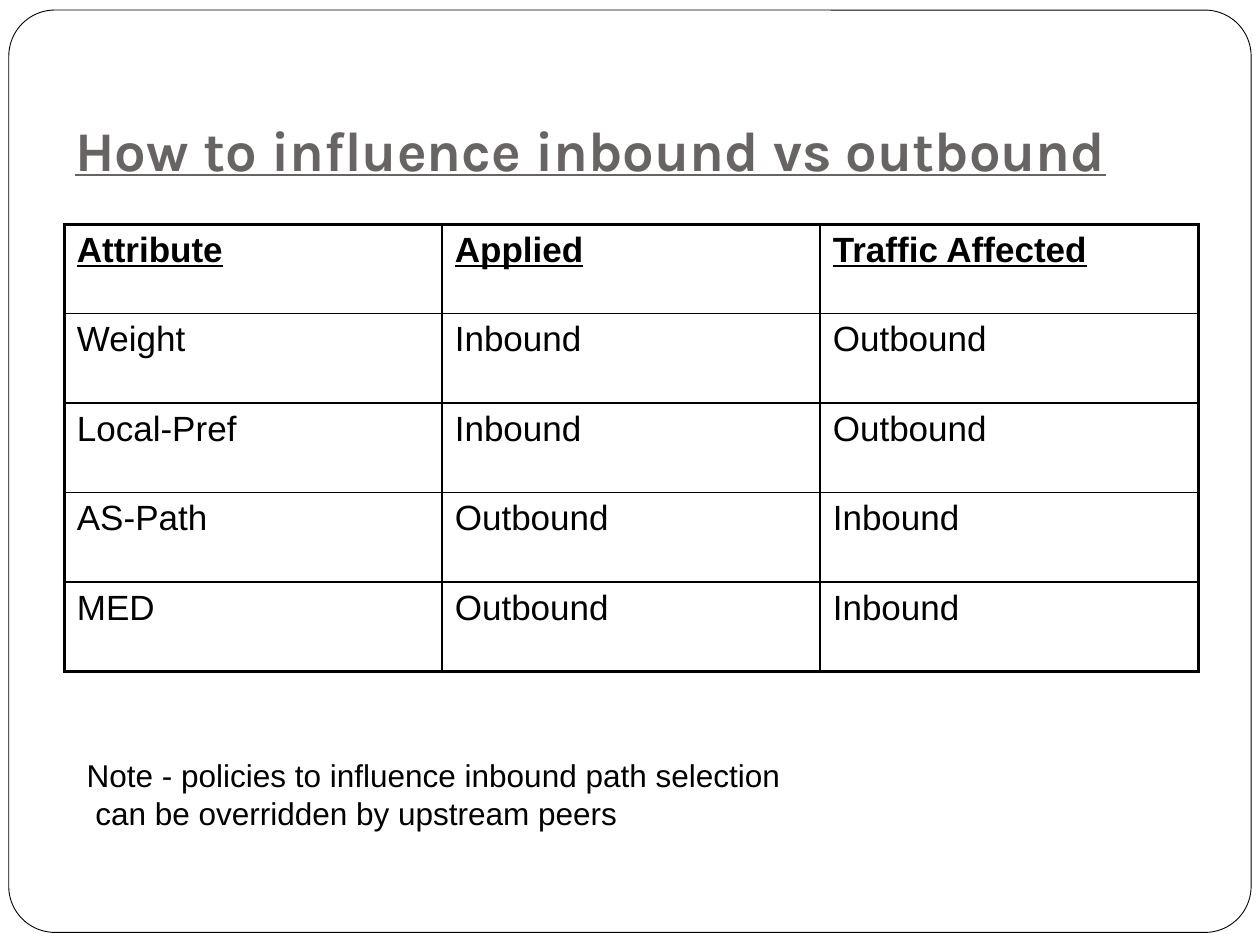
from lxml.etree import SubElement
from pptx import Presentation
from pptx.dml.color import RGBColor
from pptx.enum.shapes import MSO_SHAPE
from pptx.enum.text import MSO_ANCHOR, MSO_AUTO_SIZE
from pptx.oxml.ns import qn
from pptx.util import Inches, Pt

BLACK = RGBColor(0x00, 0x00, 0x00)
WHITE = RGBColor(0xFF, 0xFF, 0xFF)
GREY = RGBColor(0x69, 0x64, 0x64)

TITLE_FONT = {"name": "Karla", "size": Pt(32), "bold": True, "underline": True}
HEADER_FONT = {"name": "Arial", "size": Pt(20), "bold": True, "underline": True}
BODY_FONT = {"name": "Arial", "size": Pt(20), "bold": False, "underline": False}
NOTE_FONT = {"name": "Arial", "size": Pt(18)}

OUTER_BORDER = Pt(2.25)
INNER_BORDER = Pt(1)

ATTRIBUTE_ROWS = [
    ("Attribute", "Applied", "Traffic Affected"),
    ("Weight", "Inbound", "Outbound"),
    ("Local-Pref", "Inbound", "Outbound"),
    ("AS-Path", "Outbound", "Inbound"),
    ("MED", "Outbound", "Inbound"),
]
NOTE_LINES = [
    "Note - policies to influence inbound path selection",
    " can be overridden by upstream peers",
]


class SlideBuilder:
    def __init__(self, slide):
        self.slide = slide

    def add_span(self, para, text, font, color=BLACK):
        span = para.add_run()
        span.text = text
        for name, value in font.items():
            setattr(span.font, name, value)
        span.font.color.rgb = color

    def frame(self, left, top, width, height):
        """Draw the rounded outline around the page."""
        shape = self.slide.shapes.add_shape(
            MSO_SHAPE.ROUNDED_RECTANGLE, left, top, width, height)
        shape.adjustments[0] = 0.05
        shape.shadow.inherit = False
        shape.fill.solid()
        shape.fill.fore_color.rgb = WHITE
        shape.line.color.rgb = BLACK
        shape.line.width = Pt(0.5)

    def text(self, left, top, width, height, lines, font, color=BLACK, **layout):
        box = self.slide.shapes.add_textbox(left, top, width, height)
        for name, value in layout.items():
            setattr(box.text_frame, name, value)
        for index, line in enumerate(lines):
            para = (box.text_frame.add_paragraph() if index
                    else box.text_frame.paragraphs[0])
            self.add_span(para, line, font, color)

    def border(self, cell, side, width):
        properties = cell._tc.get_or_add_tcPr()
        line = SubElement(properties, qn(f"a:ln{side}"), w=str(width))
        fill = SubElement(line, qn("a:solidFill"))
        SubElement(fill, qn("a:srgbClr"), val=str(BLACK))

    def table(self, left, top, width, height, rows):
        """Draw a table with a thick outer border and a header row."""
        last_row, last_column = len(rows) - 1, len(rows[0]) - 1
        table = self.slide.shapes.add_table(
            len(rows), len(rows[0]), left, top, width, height).table
        table.first_row = table.horz_banding = False
        for r, row in enumerate(rows):
            for c, text in enumerate(row):
                cell = table.cell(r, c)
                self.add_span(cell.text_frame.paragraphs[0], text,
                              BODY_FONT if r else HEADER_FONT)
                is_outer = {"L": c == 0, "R": c == last_column,
                            "T": r == 0, "B": r == last_row}
                for side, outer in is_outer.items():
                    self.border(cell, side, OUTER_BORDER if outer else INNER_BORDER)
                cell.fill.background()


def main():
    deck = Presentation()
    deck.slide_width, deck.slide_height = Inches(10), Inches(7.5)
    page = SlideBuilder(deck.slides.add_slide(deck.slide_layouts[6]))

    page.frame(Inches(0.07), Inches(0.08), Inches(9.86), Inches(7.32))
    page.text(Inches(0.5), Inches(0.3), Inches(9), Inches(1.25),
              ["How to influence inbound vs outbound"], TITLE_FONT, GREY,
              word_wrap=True, vertical_anchor=MSO_ANCHOR.BOTTOM,
              margin_bottom=Inches(0.1))
    page.table(Inches(0.51), Inches(1.78), Inches(9), Inches(3.55), ATTRIBUTE_ROWS)
    page.text(Inches(0.59), Inches(5.95), Inches(5.7), Inches(0.7),
              NOTE_LINES, NOTE_FONT, word_wrap=False,
              vertical_anchor=MSO_ANCHOR.MIDDLE,
              auto_size=MSO_AUTO_SIZE.SHAPE_TO_FIT_TEXT)
    deck.save("out.pptx")


if __name__ == "__main__":
    main()
